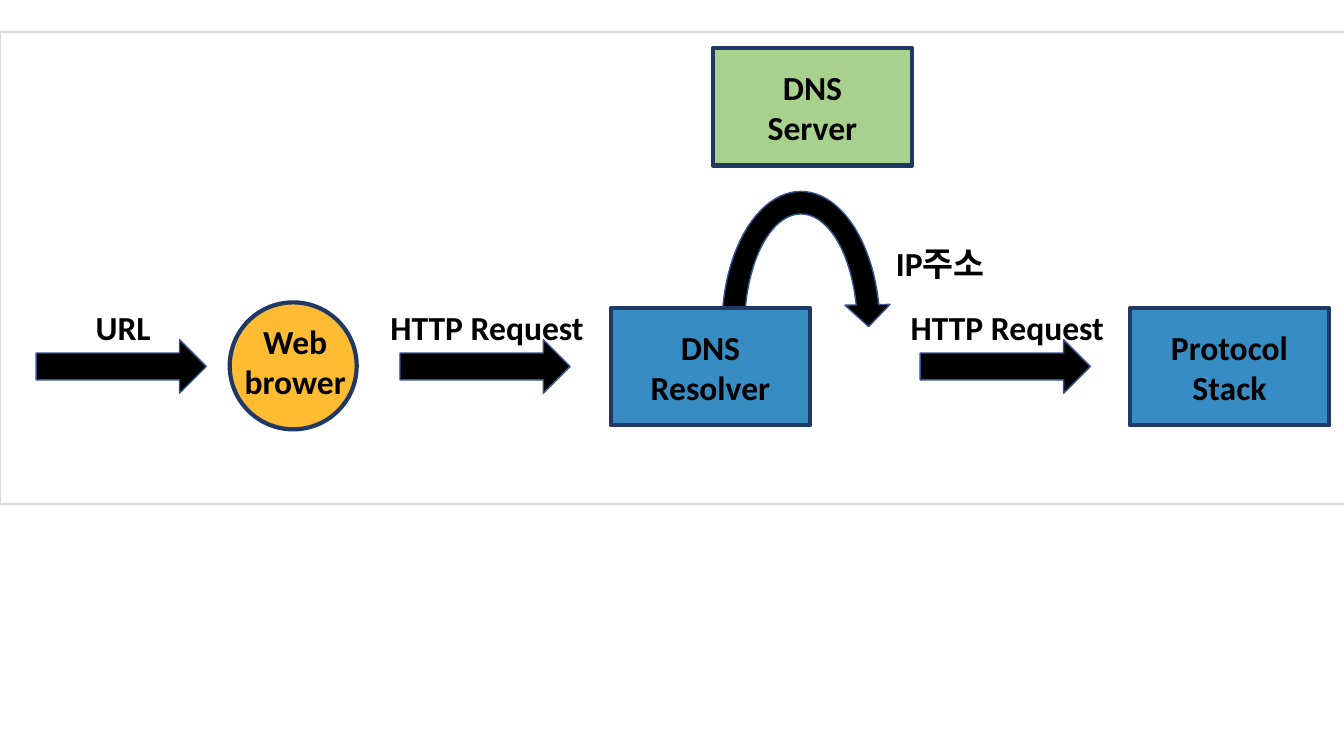
from dataclasses import dataclass

from pptx import Presentation
from pptx.dml.color import RGBColor
from pptx.enum.shapes import MSO_SHAPE
from pptx.enum.text import MSO_ANCHOR, PP_ALIGN
from pptx.util import Cm, Pt

RECTANGLE = MSO_SHAPE.RECTANGLE
OVAL = MSO_SHAPE.OVAL
RIGHT_ARROW = MSO_SHAPE.RIGHT_ARROW
CIRCULAR_ARROW = MSO_SHAPE.CIRCULAR_ARROW
CENTER = PP_ALIGN.CENTER
MIDDLE = MSO_ANCHOR.MIDDLE
TOP = MSO_ANCHOR.TOP


@dataclass(frozen=True)
class Theme:
    font: str = "Calibri"
    size: int = 24
    ink: str = "000000"
    paper: str = "FFFFFF"
    panel_line: str = "D9D9D9"
    node_line: str = "203864"
    arrow_line: str = "325491"
    client: str = "378CC3"
    browser: str = "FFBB32"
    server: str = "A9D18E"
    thin: float = 1
    thick: float = 3


THEME = Theme()


def add_figure(slide, kind, box, fill, line, width):
    shape = slide.shapes.add_shape(kind, *map(Cm, box))
    shape.shadow.inherit = False
    shape.fill.solid()
    shape.fill.fore_color.rgb = RGBColor.from_string(fill)
    shape.line.color.rgb = RGBColor.from_string(line)
    shape.line.width = Pt(width)
    return shape


def write_lines(shape, lines, anchor):
    frame = shape.text_frame
    frame.word_wrap = True
    frame.vertical_anchor = anchor
    for index, line in enumerate(lines):
        paragraph = frame.add_paragraph() if index else frame.paragraphs[0]
        paragraph.alignment = CENTER
        run = paragraph.add_run()
        run.text = line
        run.font.name = THEME.font
        run.font.size = Pt(THEME.size)
        run.font.bold = True
        run.font.color.rgb = RGBColor.from_string(THEME.ink)


def add_label(slide, box, *lines):
    write_lines(slide.shapes.add_textbox(*map(Cm, box)), lines, TOP)


def add_node(slide, box, fill, *lines):
    shape = add_figure(slide, RECTANGLE, box, fill, THEME.node_line, THEME.thick)
    write_lines(shape, lines, MIDDLE)


def add_browser(slide, box):
    left, top, width, height = box
    add_figure(slide, OVAL, box, THEME.browser, THEME.node_line, THEME.thick)
    add_label(slide, (left + 0.05, top + 0.33, width, 2.31), "Web", "brower")


def add_message(slide, box, text, label_width):
    """Arrow with its label centred above it."""
    left, top, width, height = box
    add_figure(slide, RIGHT_ARROW, box, THEME.ink, THEME.arrow_line, THEME.thin)
    label_left = left + (width - label_width) / 2 + 0.05
    add_label(slide, (label_left, top - 0.94, label_width, 1.27), text)


def add_lookup(slide, box):
    """Curved arrow for the address lookup, with its answer beside it."""
    left, top, width, height = box
    arrow = add_figure(slide, CIRCULAR_ARROW, box, THEME.ink, THEME.arrow_line, THEME.thin)
    for index, value in enumerate((0.125, 10.855, 204.577, 108, 0.125)):
        arrow.adjustments[index] = value
    add_label(slide, (left + 4.17, top + 1.45, 3.23, 1.27), "IP주소")


def add_request_flow(slide, box):
    left, top, width, height = box
    add_figure(slide, RECTANGLE, box, THEME.paper, THEME.panel_line, THEME.thin)

    # Address lookup
    node_width, node_height = 5.03, 2.95
    add_lookup(slide, (left + 17.91, top + 3.73, 4.55, 7.44))
    add_node(slide, (left + 17.96, top + 0.41, node_width, node_height),
             THEME.server, "DNS", "Server")

    # Main row
    add_browser(slide, (left + 5.79, top + 6.81, 3.2, 3.2))
    for node_left, lines in ((15.39, ("DNS", "Resolver")), (28.47, ("Protocol", "Stack"))):
        add_node(slide, (left + node_left, top + 6.96, node_width, node_height),
                 THEME.client, *lines)

    # Messages between the stages
    for arrow_left, text, label_width in ((0.91, "URL", 3.2),
                                          (10.08, "HTTP Request", 6.45),
                                          (23.19, "HTTP Request", 6.45)):
        add_message(slide, (left + arrow_left, top + 7.75, 4.29, 1.35), text, label_width)


def main():
    presentation = Presentation()
    presentation.slide_width = Cm(33.87)
    presentation.slide_height = Cm(19.05)
    slide = presentation.slides.add_slide(presentation.slide_layouts[6])
    add_request_flow(slide, (0, 0.81, 39.67, 11.89))
    presentation.save("out.pptx")


if __name__ == "__main__":
    main()
